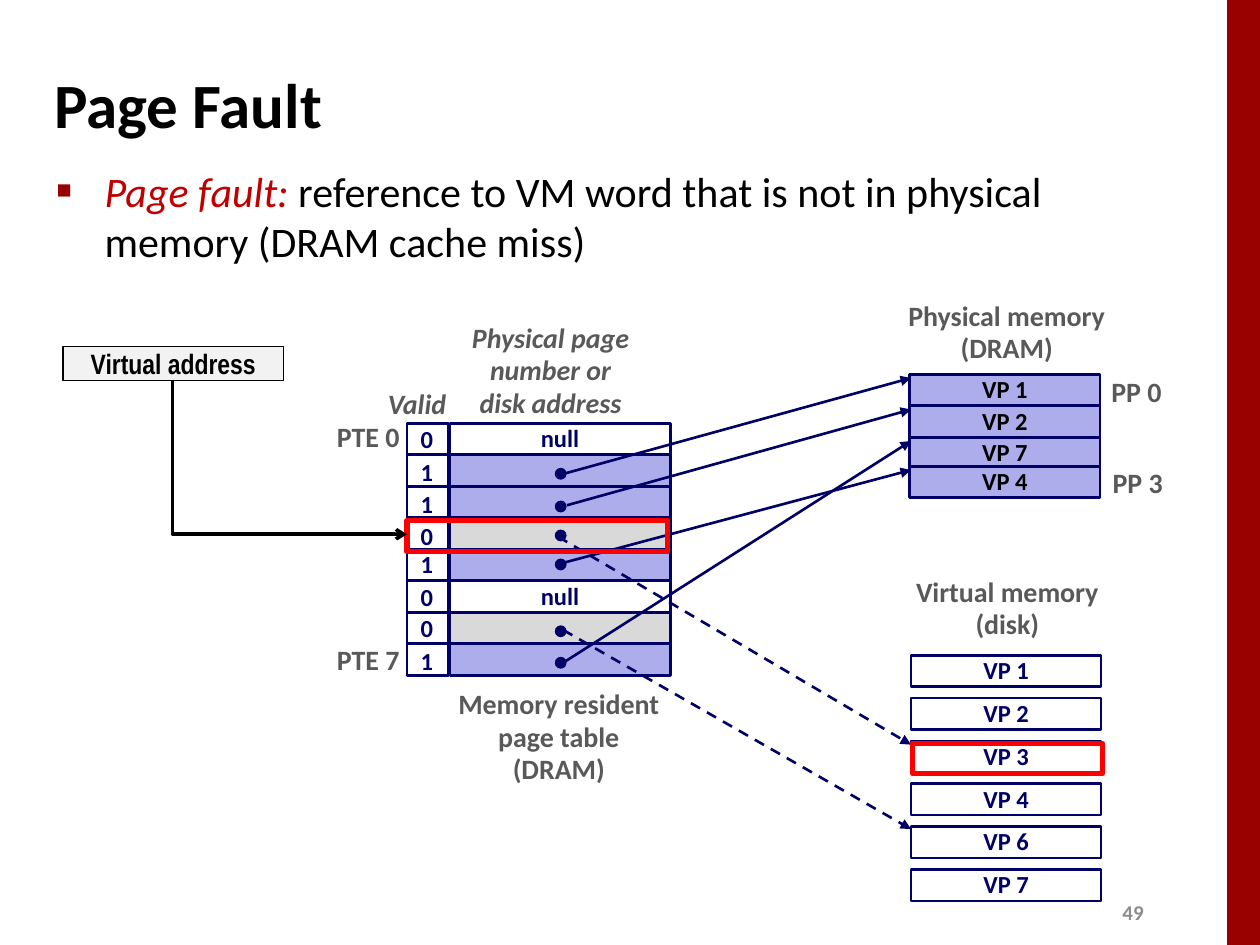
from lxml import etree
from pptx import Presentation
from pptx.dml.color import RGBColor
from pptx.enum import dml, shapes, text
from pptx.oxml.ns import qn
from pptx.util import Inches, Pt

NAVY, GRAY, RED, BLACK, WHITE = "000066", "595959", "FF0000", "000000", "FFFFFF"
CACHED, ON_DISK, UNALLOCATED, CRIMSON = "ADADEB", "D9D9D9", WHITE, "990000"

# Content
TITLE = "Page Fault"
DEFINITION = [("Page fault: ", "C00000", True),
              ("reference to VM word that is not in physical memory (DRAM cache miss)", BLACK, False)]
# Page table entries: valid bit, its top, fill, text, top of the pointer dot
ENTRIES = [
    ("0", 3.33, UNALLOCATED, "null", None),
    ("1", 3.59, CACHED, "", 3.72),
    ("1", 3.84, CACHED, "", 3.98),
    ("0", 4.10, ON_DISK, "", 4.21),
    ("1", 4.32, CACHED, "", 4.44),
    ("0", 4.58, UNALLOCATED, "null", None),
    ("0", 4.83, ON_DISK, "", 4.97),
    ("1", 5.09, CACHED, "", 5.22),
]
PHYSICAL_PAGES = [("VP 1", 2.97), ("VP 2", 3.22), ("VP 7", 3.47), ("VP 4", 3.70)]
VIRTUAL_PAGES = ["VP 1", "VP 2", "VP 3", "VP 4", "VP 6", "VP 7"]
# Pointers: start x, start y, end y, dashed
POINTERS = [
    (4.44, 3.77, 3.00, False),
    (4.50, 4.01, 3.25, False),
    (4.43, 4.26, 5.91, True),
    (4.46, 4.47, 3.73, False),
    (4.47, 5.00, 6.58, True),
    (4.47, 5.26, 3.50, False),
]
# Labels: lines, box, alignment, anchor, italic
LABELS = [
    (["Memory resident", "page table", "(DRAM)"], (3.51, 5.41, 1.85, 0.89), "CENTER", "TOP", False),
    (["Physical memory", "(DRAM)"], (7.10, 2.33, 1.78, 0.63), "CENTER", "TOP", False),
    (["Virtual memory", "(disk)"], (7.15, 4.52, 1.69, 0.63), "CENTER", "TOP", False),
    (["Valid"], (2.98, 3.03, 0.75, 0.37), "LEFT", "TOP", True),
    (["Physical page", "number or", "disk address"], (3.64, 2.50, 1.46, 0.89), "CENTER", "MIDDLE", True),
    (["PTE 0"], (2.57, 3.29, 0.70, 0.37), "RIGHT", "MIDDLE", False),
    (["PTE 7"], (2.57, 5.06, 0.70, 0.37), "RIGHT", "MIDDLE", False),
    (["PP 0"], (8.72, 2.93, 0.60, 0.37), "CENTER", "MIDDLE", False),
    (["PP 3"], (8.73, 3.65, 0.60, 0.37), "CENTER", "MIDDLE", False),
]

# Layout, in inches
ROW_H, TABLE_TOP = 0.25, 3.36
VALID_X, VALID_W = 3.23, 0.33
ADDRESS_X, ADDRESS_W = 3.57, 1.75
PAGE_X, PAGE_W = 7.22, 1.51
DISK_X, DISK_TOP, DISK_STEP = 7.23, 5.20, 0.34
DOT_X, DOT_SIZE = 4.41, 0.08

prs = Presentation()
prs.slide_width, prs.slide_height = Inches(10), Inches(7.5)
slide = prs.slides.add_slide(prs.slide_layouts[1])


def rgb(color):
    return RGBColor.from_string(color)


def style(font, size, color, bold=True, italic=False, name="Calibri"):
    font.name, font.size, font.bold, font.italic = name, Pt(size), bold, italic
    font.color.rgb = rgb(color)


def write(shape, lines, size=14, color=NAVY, align="CENTER", anchor="MIDDLE",
          wrap=False, grow=False, spacing=0.98, **font):
    frame = shape.text_frame
    frame.word_wrap = wrap
    frame.vertical_anchor = text.MSO_ANCHOR[anchor]
    frame.auto_size = text.MSO_AUTO_SIZE.SHAPE_TO_FIT_TEXT if grow else text.MSO_AUTO_SIZE.NONE
    for i, line in enumerate(lines):
        para = frame.add_paragraph() if i else frame.paragraphs[0]
        para.alignment = text.PP_ALIGN[align]
        para.line_spacing = spacing
        run = para.add_run()
        run.text = line
        style(run.font, size, color, **font)


def add_label(lines, box, **fmt):
    write(slide.shapes.add_textbox(*map(Inches, box)), lines, **fmt)


def add_box(box, fill=None, line=NAVY, weight=1.5, kind="RECTANGLE"):
    shape = slide.shapes.add_shape(shapes.MSO_SHAPE[kind], *map(Inches, box))
    shape.shadow.inherit = False
    if fill:
        shape.fill.solid()
        shape.fill.fore_color.rgb = rgb(fill)
    else:
        shape.fill.background()
    if line:
        shape.line.color.rgb = rgb(line)
        shape.line.width = Pt(weight)
    else:
        shape.line.fill.background()
    return shape


def add_arrow(start, end, color, weight, head, dashed=False, kind="STRAIGHT"):
    arrow = slide.shapes.add_connector(shapes.MSO_CONNECTOR[kind], *map(Inches, start + end))
    arrow.line.color.rgb = rgb(color)
    arrow.line.width = Pt(weight)
    if dashed:
        arrow.line.dash_style = dml.MSO_LINE.DASH
    props = arrow._element.spPr
    etree.SubElement(props.find(qn("a:ln")), qn("a:tailEnd"), type=head)
    etree.SubElement(props, qn("a:effectLst"))
    return arrow


def place(shape, box):
    shape.left, shape.top, shape.width, shape.height = map(Inches, box)


# Side bar and page number
add_box((9.74, 0, 0.26, 7.5), fill=CRIMSON, line=None)
add_label(["49"], (8.81, 7.1, 0.4, 0.3), size=12, color="8C8C8C", align="LEFT", wrap=True)

# Title and definition
title, body = slide.shapes.title, slide.placeholders[1]
place(title, (0.33, 0.39, 9.06, 0.86))
write(title, [TITLE], size=36, color=BLACK, align="LEFT", wrap=True, spacing=1.0)

place(body, (0.35, 1.26, 9.09, 0.83))
body.text_frame.auto_size = text.MSO_AUTO_SIZE.NONE
definition = body.text_frame.paragraphs[0]
definition.space_before = Pt(5)
for words, color, italic in DEFINITION:
    run = definition.add_run()
    run.text = words
    style(run.font, 24, color, bold=False, italic=italic)
bullet = definition._p.get_or_add_pPr()
bullet.set("marL", str(Inches(0.38)))
bullet.set("indent", str(Inches(-0.38)))
etree.SubElement(etree.SubElement(bullet, qn("a:buClr")), qn("a:srgbClr"), val=CRIMSON)
etree.SubElement(bullet, qn("a:buSzPct"), val="60000")
etree.SubElement(bullet, qn("a:buChar"), char="■")

# Page table
for i, (valid, valid_top, fill, content, _) in enumerate(ENTRIES):
    top = TABLE_TOP + i * ROW_H
    address = add_box((ADDRESS_X, top, ADDRESS_W, ROW_H), fill)
    if content:
        write(address, [content])
    add_box((VALID_X, top, VALID_W, ROW_H))
    add_label([valid], (3.24, valid_top, 0.31, 0.33), align="LEFT", anchor="TOP", grow=True)

# Pages in memory and on disk
for page, top in PHYSICAL_PAGES:
    write(add_box((PAGE_X, top, PAGE_W, ROW_H), CACHED), [page], color=BLACK)
for i, page in enumerate(VIRTUAL_PAGES):
    write(add_box((DISK_X, DISK_TOP + i * DISK_STEP, PAGE_W, ROW_H), WHITE), [page])

# Pointers from entries to pages
for x, y, end_y, dashed in POINTERS:
    add_arrow((x, y), (DISK_X, end_y), NAVY, 1.5, "triangle", dashed)
for *_, dot_top in ENTRIES:
    if dot_top:
        add_box((DOT_X, dot_top, DOT_SIZE, DOT_SIZE), NAVY, weight=1, kind="OVAL")

# Labels
for lines, box, align, anchor, italic in LABELS:
    add_label(lines, box, size=16, color=GRAY, align=align, anchor=anchor,
              italic=italic, grow=True, wrap=lines == ["Valid"])

# Faulting reference
virtual_address = add_box((0.5, 2.75, 1.75, 0.27), "F2F2F2", BLACK, 1)
write(virtual_address, ["Virtual address"], size=16, color=BLACK, wrap=True,
      spacing=1.0, name="Arial Narrow")
faulting_entry = add_box((VALID_X, 4.13, 2.07, ROW_H), line=RED, weight=3)
add_box((7.24, 5.9, PAGE_W, 0.24), line=RED, weight=3)

# One-bend connector: down from the address, then right to the entry
lookup = add_arrow((1.38, 3.02), (3.23, 4.24), BLACK, 2, "arrow", kind="ELBOW")
lookup.begin_connect(virtual_address, 2)
lookup.end_connect(faulting_entry, 1)
place(lookup, (1.69, 2.7, 1.22, 1.86))
lookup_props = lookup._element.spPr
lookup_props.find(qn("a:prstGeom")).set("prst", "bentConnector2")
lookup_props.find(qn("a:xfrm")).set("rot", str(270 * 60000))
lookup_props.find(qn("a:xfrm")).set("flipH", "1")

prs.save("out.pptx")
